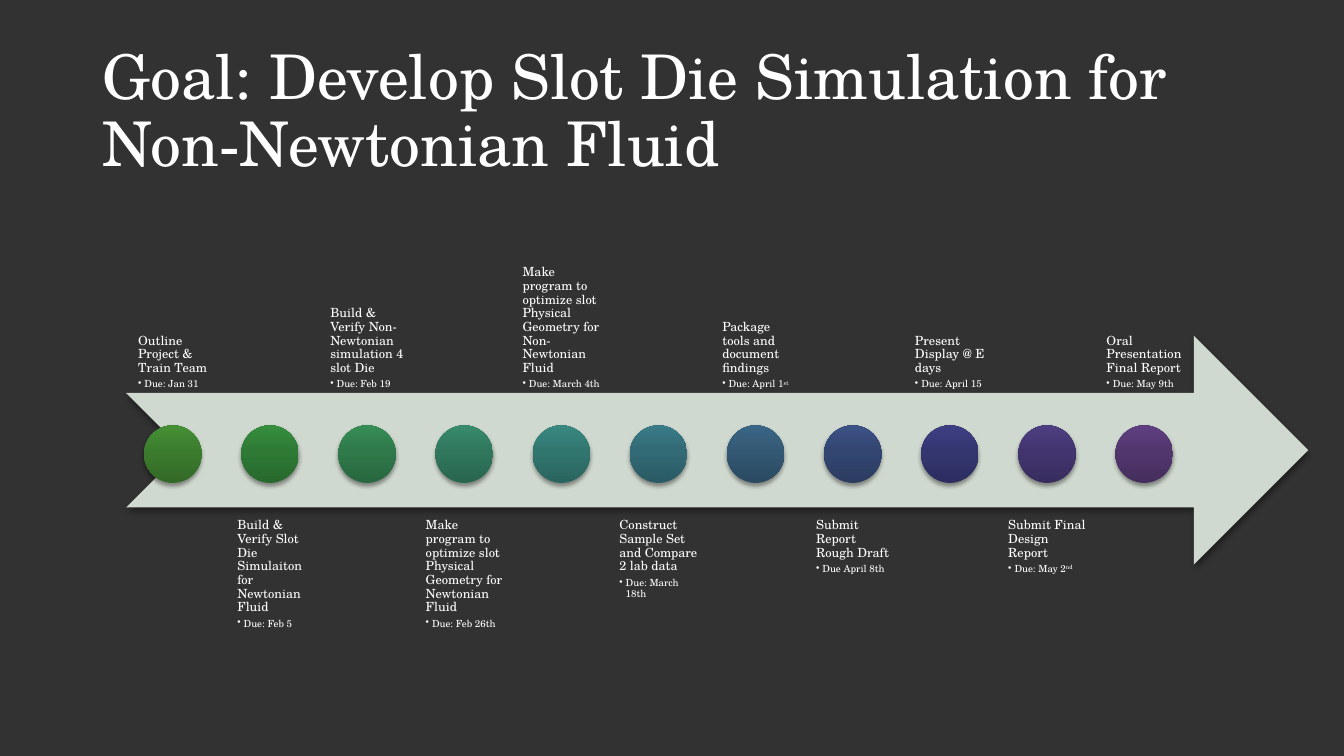
"""Build the project timeline slide for the slot die simulation."""
from pptx import Presentation
from pptx.dml.color import RGBColor
from pptx.enum.shapes import MSO_SHAPE as Shape
from pptx.enum.text import MSO_ANCHOR as Anchor, MSO_AUTO_SIZE as AutoSize, PP_ALIGN as Align
from pptx.oxml import parse_xml
from pptx.oxml.ns import nsdecls
from pptx.util import Cm, Pt

TITLE = "Goal: Develop Slot Die Simulation for Non-Newtonian Fluid"
MILESTONES = [
    ("Outline Project & Train Team", "Due: Jan 31", "", ("336927", "3C7C2E", "459035")),
    ("Build & Verify Slot Die Simulaiton for Newtonian Fluid", "Due: Feb 5", "",
     ("27682D", "2E7A35", "368E3E")),
    ("Build & Verify Non-Newtonian simulation 4 slot Die", "Due: Feb 19", "",
     ("28673F", "2F794A", "378D56")),
    ("Make program to optimize slot Physical Geometry for Newtonian Fluid", "Due: Feb 26th", "",
     ("29664F", "30775D", "388B6C")),
    ("Make program to optimize slot Physical Geometry for Non-Newtonian Fluid",
     "Due: March 4th", "", ("2A645E", "31766F", "398981")),
    ("Construct Sample Set and Compare 2 lab data", "Due: March 18th", "",
     ("2A5A63", "326A75", "3A7B88")),
    ("Package tools and document findings", "Due: April 1", "st", ("2B4A62", "335873", "3B6686")),
    ("Submit Report Rough Draft", "Due April 8th", "", ("2C3C61", "334672", "3C5285")),
    ("Present Display @ E days", "Due: April 15", "", ("2C2E60", "343670", "3D3F83")),
    ("Submit Final Design Report", "Due: May 2", "nd", ("382D5E", "42356F", "4D3E81")),
    ("Oral Presentation Final Report", "Due: May 9th", "", ("452E5D", "52366E", "5F3F80")),
]
STOPS = (0, 55, 100)

FONT = "TeX Gyre Schola"
WHITE = RGBColor(0xFF, 0xFF, 0xFF)
CHARCOAL = RGBColor(0x32, 0x32, 0x32)
SAGE = RGBColor(0xD0, 0xD9, 0xCF)

LEFT, PITCH = 3.18, 2.448
BAND = 5.77
ABOVE, ARROW_TOP, BELOW = 4.24, 8.46, 12.9
LABEL_WIDTH, DOT, DOT_TOP = 2.34, 1.45, 10.72
DOT_INSET = 0.45
LABEL_MARGIN = Cm(0.18)


def style_paragraph(para, size):
    """Give every run of a paragraph the slide font and tighten its lines."""
    para.alignment = Align.LEFT
    para.line_spacing = 0.9
    para.space_before = Pt(0)
    for span in para.runs:
        span.font.name = FONT
        span.font.size = Pt(size)
        span.font.color.rgb = WHITE


def finish_shape(shape):
    """Drop the outline and add a soft shadow below the shape."""
    shape.line.fill.background()
    shape.element.spPr.append(parse_xml(
        f'<a:effectLst {nsdecls("a")}><a:outerShdw blurRad="{Pt(3.1)}" dist="{Pt(2)}" '
        'dir="5400000" rotWithShape="0"><a:srgbClr val="000000"><a:alpha val="38000"/>'
        '</a:srgbClr></a:outerShdw></a:effectLst>'))


def add_title(page):
    """Fill and place the title placeholder."""
    title = page.shapes.title
    title.left, title.top, title.width, title.height = Cm(2.33), Cm(1.01), Cm(29.21), Cm(3.68)
    frame = title.text_frame
    frame.text = TITLE
    frame.auto_size = AutoSize.NONE
    frame.vertical_anchor = Anchor.MIDDLE
    style_paragraph(frame.paragraphs[0], 44)


def add_arrow(page):
    """Draw the notched arrow that carries the milestones."""
    arrow = page.shapes.add_shape(
        Shape.NOTCHED_RIGHT_ARROW, Cm(LEFT), Cm(ARROW_TOP), Cm(29.79), Cm(BAND))
    arrow.fill.solid()
    arrow.fill.fore_color.rgb = SAGE
    finish_shape(arrow)


def add_label(page, left, above, task, due, suffix):
    """Write a task and its due date above or below the arrow."""
    box = page.shapes.add_textbox(
        Cm(left), Cm(ABOVE if above else BELOW), Cm(LABEL_WIDTH), Cm(BAND))
    frame = box.text_frame
    frame.text = f"{task}\n{due}"
    frame.word_wrap = True
    frame.vertical_anchor = Anchor.BOTTOM if above else Anchor.TOP
    frame.margin_left = frame.margin_right = LABEL_MARGIN
    frame.margin_top = frame.margin_bottom = LABEL_MARGIN
    box.element.txBody.bodyPr.set("anchorCtr", "1")
    heading, date = frame.paragraphs
    if suffix:
        ordinal = date.add_run()
        ordinal.text = suffix
        ordinal._r.get_or_add_rPr().set("baseline", "30000")
    date.level = 1
    for para, size, gap in ((heading, 9, 35), (date, 7, 15)):
        style_paragraph(para, size)
        para._p.get_or_add_pPr().append(parse_xml(
            f'<a:spcAft {nsdecls("a")}><a:spcPct val="{gap * 1000}"/></a:spcAft>'))
    bullet = date._p.get_or_add_pPr()
    bullet.set("marL", str(Cm(0.16)))
    bullet.set("indent", str(Cm(-0.16)))
    bullet.append(parse_xml(f'<a:buChar {nsdecls("a")} char="•"/>'))


def add_dot(page, left, colours):
    """Draw a milestone dot shaded from bottom to top."""
    dot = page.shapes.add_shape(Shape.OVAL, Cm(left), Cm(DOT_TOP), Cm(DOT), Cm(DOT))
    stops = "".join(f'<a:gs pos="{stop * 1000}"><a:srgbClr val="{colour}"/></a:gs>'
                    for stop, colour in zip(STOPS, colours))
    dot.element.spPr.append(parse_xml(
        f'<a:gradFill {nsdecls("a")} rotWithShape="1"><a:gsLst>{stops}</a:gsLst>'
        '<a:lin ang="16200000" scaled="0"/></a:gradFill>'))
    finish_shape(dot)


def main():
    """Assemble and save the deck."""
    deck = Presentation()
    deck.slide_width, deck.slide_height = Cm(33.87), Cm(19.05)
    page = deck.slides.add_slide(deck.slide_layouts.get_by_name("Title Only"))
    page.background.fill.solid()
    page.background.fill.fore_color.rgb = CHARCOAL
    add_title(page)
    add_arrow(page)
    for index, (task, due, suffix, colours) in enumerate(MILESTONES):
        left = LEFT + index * PITCH
        add_label(page, left, index % 2 == 0, task, due, suffix)
        add_dot(page, left + DOT_INSET, colours)
    deck.save("out.pptx")


if __name__ == "__main__":
    main()
